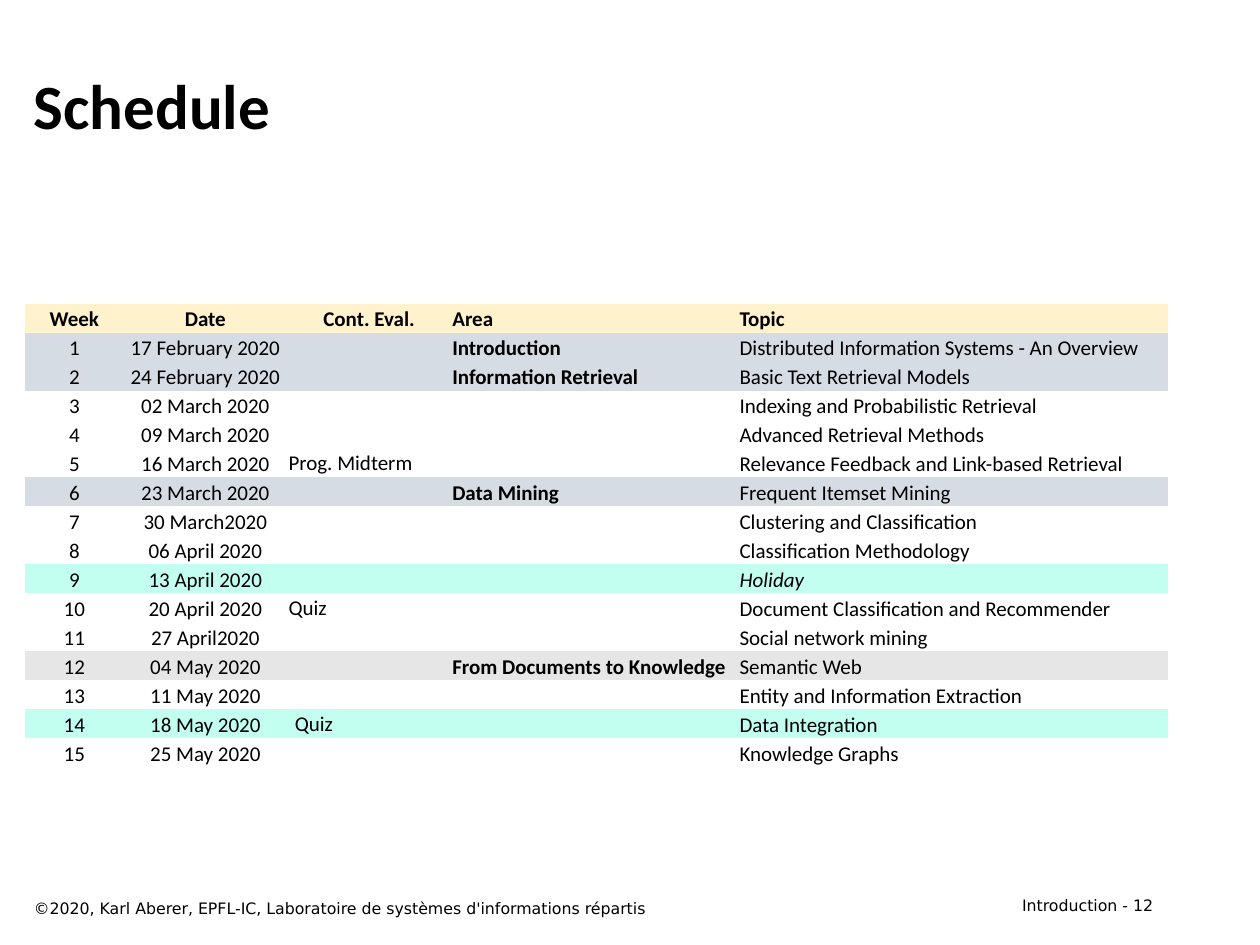
"""Build the course schedule slide with its weekly table."""
from dataclasses import dataclass
from typing import Optional

from pptx import Presentation
from pptx.dml.color import RGBColor
from pptx.enum.text import MSO_ANCHOR, PP_ALIGN
from pptx.oxml.ns import qn
from pptx.util import Inches, Pt

LEFT, CENTER, RIGHT = PP_ALIGN.LEFT, PP_ALIGN.CENTER, PP_ALIGN.RIGHT
TOP, MIDDLE, BOTTOM = MSO_ANCHOR.TOP, MSO_ANCHOR.MIDDLE, MSO_ANCHOR.BOTTOM
PLAIN_TABLE_STYLE = "{2D5ABB26-0587-4C30-8999-92F81FD0307C}"


@dataclass(frozen=True)
class Theme:
    text: str = "000000"
    header: str = "FFF2CC"
    new_area: str = "D6DCE4"
    special: str = "C2FFF0"
    knowledge: str = "E6E6E6"
    white: str = "FFFFFF"
    body_font: str = "Calibri"
    footer_font: str = "DejaVu Sans"
    title_size: int = 36
    table_size: int = 12
    footer_size: int = 9


@dataclass(frozen=True)
class Label:
    text: str
    box: tuple[float, float, float, float]
    font: str
    size: int
    bold: bool = False
    align: PP_ALIGN = LEFT
    anchor: MSO_ANCHOR = TOP


@dataclass(frozen=True)
class Week:
    date: str
    topic: str
    area: str = ""
    evaluation: str = ""
    fill: Optional[str] = None
    holiday: bool = False
    evaluation_indent: float = 0.01


THEME = Theme()
HEADINGS = ("Week", "Date", "Cont. Eval.", "Area", "Topic")
COLUMN_WIDTHS = (0.78, 1.3, 1.3, 2.28, 3.41)
ROW_HEIGHT = 0.23
TABLE_LEFT, TABLE_TOP = 0.2, 2.41
EVALUATION_COLUMN, AREA_COLUMN, TOPIC_COLUMN = 2, 3, 4

LABELS = (
    Label("Introduction - 12", (7.17, 7.06, 2.08, 0.25),
          THEME.footer_font, THEME.footer_size, align=RIGHT),
    Label("Schedule", (0.17, 0.33, 9.08, 1), THEME.body_font,
          THEME.title_size, bold=True, anchor=MIDDLE),
    Label("©2020, Karl Aberer, EPFL-IC, Laboratoire de systèmes d'informations répartis",
          (0.17, 7.08, 6.42, 0.25), THEME.footer_font, THEME.footer_size),
)

WEEKS = (
    Week("17 February 2020", "Distributed Information Systems - An Overview",
         area="Introduction", fill=THEME.new_area),
    Week("24 February 2020", "Basic Text Retrieval Models",
         area="Information Retrieval", fill=THEME.new_area),
    Week("02 March 2020", "Indexing and Probabilistic Retrieval"),
    Week("09 March 2020", "Advanced Retrieval Methods"),
    Week("16 March 2020", "Relevance Feedback and Link-based Retrieval",
         evaluation="Prog. Midterm"),
    Week("23 March 2020", "Frequent Itemset Mining",
         area="Data Mining", fill=THEME.new_area),
    Week("30 March2020", "Clustering and Classification"),
    Week("06 April 2020", "Classification Methodology", fill=THEME.white),
    Week("13 April 2020", "Holiday", fill=THEME.special, holiday=True),
    Week("20 April 2020", "Document Classification and Recommender",
         evaluation="Quiz"),
    Week("27 April2020", "Social network mining"),
    Week("04 May 2020", "Semantic Web",
         area="From Documents to Knowledge", fill=THEME.knowledge),
    Week("11 May 2020", "Entity and Information Extraction"),
    Week("18 May 2020", "Data Integration", evaluation="Quiz",
         fill=THEME.special, evaluation_indent=0.06),
    Week("25 May 2020", "Knowledge Graphs"),
)


def style_font(font, name: str, size: int, bold: bool = False, italic: bool = False) -> None:
    font.name, font.size = name, Pt(size)
    font.bold, font.italic = bold, italic
    font.color.rgb = RGBColor.from_string(THEME.text)


def add_label(slide, label: Label) -> None:
    frame = slide.shapes.add_textbox(*map(Inches, label.box)).text_frame
    frame.word_wrap = True
    frame.vertical_anchor = label.anchor
    frame.text = label.text
    paragraph = frame.paragraphs[0]
    paragraph.alignment = label.align
    style_font(paragraph.runs[0].font, label.font, label.size, label.bold)


def fill_cell(cell, text: str, fill: Optional[str], align: PP_ALIGN,
              bold: bool = False, italic: bool = False,
              indent: float = 0.01, bottom: float = 0) -> None:
    cell.margin_left, cell.margin_right = Inches(indent), Inches(0.01)
    cell.margin_top, cell.margin_bottom = Inches(0.01), Inches(bottom)
    cell.vertical_anchor = BOTTOM
    if fill:
        cell.fill.solid()
        cell.fill.fore_color.rgb = RGBColor.from_string(fill)
    else:
        cell.fill.background()
    cell.text_frame.text = text
    paragraph = cell.text_frame.paragraphs[0]
    paragraph.alignment = align
    for styled in (paragraph, *paragraph.runs):
        style_font(styled.font, THEME.body_font, THEME.table_size, bold, italic)


def fill_week(table, number: int, week: Week) -> None:
    values = (str(number), week.date, week.evaluation, week.area, week.topic)
    for column, value in enumerate(values):
        is_evaluation = column == EVALUATION_COLUMN
        fill_cell(
            table.cell(number, column), value, week.fill,
            CENTER if column < EVALUATION_COLUMN else LEFT,
            bold=column == AREA_COLUMN,
            italic=week.holiday and column == TOPIC_COLUMN,
            indent=week.evaluation_indent if is_evaluation else 0.01,
            bottom=0.01 if is_evaluation else 0,
        )


def add_schedule(slide) -> None:
    row_count = len(WEEKS) + 1
    table = slide.shapes.add_table(
        row_count, len(HEADINGS), Inches(TABLE_LEFT), Inches(TABLE_TOP),
        Inches(sum(COLUMN_WIDTHS)), Inches(ROW_HEIGHT * row_count)).table
    table.first_row = table.horz_banding = False
    table._tbl.tblPr.find(qn("a:tableStyleId")).text = PLAIN_TABLE_STYLE
    for column, width in zip(table.columns, COLUMN_WIDTHS):
        column.width = Inches(width)
    for row in table.rows:
        row.height = Inches(ROW_HEIGHT)
    for column, heading in enumerate(HEADINGS):
        fill_cell(table.cell(0, column), heading, THEME.header,
                  LEFT if column >= AREA_COLUMN else CENTER, bold=True)
    for number, week in enumerate(WEEKS, start=1):
        fill_week(table, number, week)
    last_row = len(WEEKS)
    table.cell(last_row, EVALUATION_COLUMN).merge(table.cell(last_row, AREA_COLUMN))


def main() -> None:
    presentation = Presentation()
    presentation.slide_width, presentation.slide_height = Inches(10), Inches(7.5)
    slide = presentation.slides.add_slide(presentation.slide_layouts[6])
    for label in LABELS:
        add_label(slide, label)
    add_schedule(slide)
    presentation.save("out.pptx")


if __name__ == "__main__":
    main()
